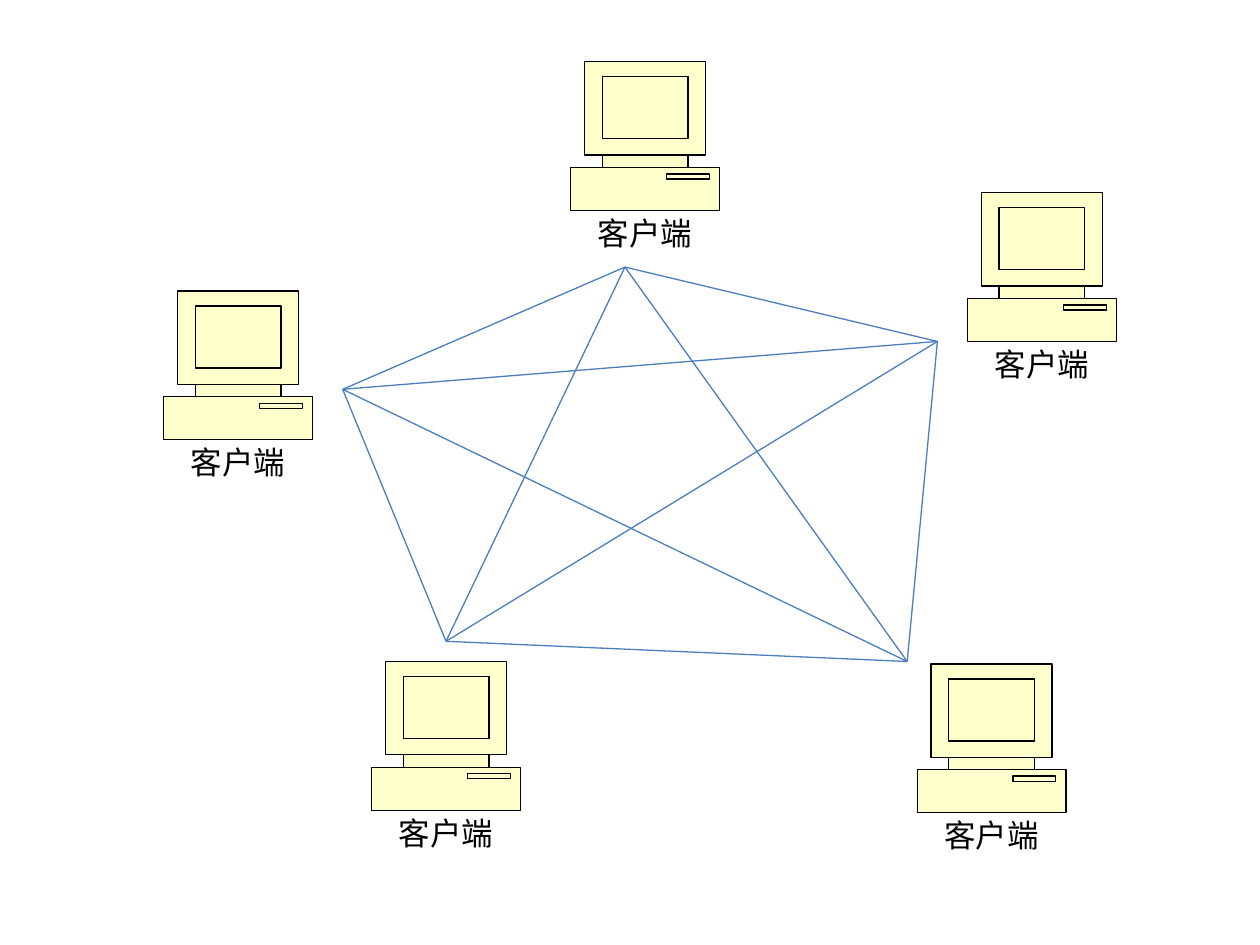
from copy import deepcopy
from dataclasses import dataclass
from itertools import combinations

from lxml.etree import SubElement
from pptx import Presentation
from pptx.dml.color import RGBColor
from pptx.enum.shapes import MSO_CONNECTOR
from pptx.enum.text import MSO_AUTO_SIZE, PP_ALIGN
from pptx.oxml.ns import qn
from pptx.util import Inches, Pt


@dataclass(frozen=True)
class Theme:
    """Colours, type and line sizes of the slide."""
    computer: RGBColor = RGBColor(0xFF, 0xFF, 0xCC)
    ink: RGBColor = RGBColor(0, 0, 0)
    link: RGBColor = RGBColor(0x4B, 0x7E, 0xBC)
    font: str = "Calibri"
    label_size: Pt = Pt(18)
    line_width: Pt = Pt(0.75)


THEME = Theme()
LABEL = "客户端"

# Each client: left and top of its computer, then the point where its links meet.
CLIENTS = [
    ((1.30, 2.31), (2.72, 3.09)),
    ((4.53, 0.49), (4.96, 2.12)),
    ((7.68, 1.53), (7.44, 2.71)),
    ((7.28, 5.27), (7.20, 5.25)),
    ((2.95, 5.25), (3.54, 5.09)),
]


def set_format(target, values):
    """Set every attribute named in a dict of format values."""
    for name, value in values.items():
        setattr(target, name, value)


def rectangle(left, top, right, bottom):
    """Return the corners of a rectangle."""
    return [(left, top), (right, top), (right, bottom), (left, bottom)]


SILHOUETTE = [
    (0.93, 0.84), (0.93, 0.74), (1.07, 0.74), (1.07, 0), (0.11, 0), (0.11, 0.74),
    (0.25, 0.74), (0.25, 0.84), (0, 0.84), (0, 1.18), (1.18, 1.18), (1.18, 0.84),
]
NECK = rectangle(0.25, 0.74, 0.93, 0.84)
SCREEN = rectangle(0.25, 0.12, 0.93, 0.61)
DRIVE = rectangle(0.76, 0.89, 1.10, 0.93)


def separate_outlines(shape):
    """Give each outline its own path, so that inner ones are filled too."""
    path = shape.element.xpath(".//a:path")[0]
    path_list = path.getparent()
    outlines = []
    for step in path:
        if step.tag == qn("a:moveTo"):
            outlines.append([])
        outlines[-1].append(step)
    for outline in outlines:
        part = SubElement(path_list, qn("a:path"), dict(path.attrib))
        part.extend([deepcopy(step) for step in outline])
    path_list.remove(path)


def add_computer(shapes, left, top):
    """Draw a desktop computer as one freeform."""
    builder = None
    for outline in (SILHOUETTE, NECK, SCREEN, DRIVE):
        points = [(Inches(x), Inches(y)) for x, y in outline]
        if builder is None:
            builder = shapes.build_freeform(*points[0])
        else:
            builder.move_to(*points[0])
        builder.add_line_segments(points[1:], close=True)
    computer = builder.convert_to_shape(Inches(left), Inches(top))
    separate_outlines(computer)
    computer.shadow.inherit = False
    computer.fill.solid()
    computer.fill.fore_color.rgb = THEME.computer
    computer.line.color.rgb = THEME.ink
    computer.line.width = THEME.line_width


def add_label(shapes, left, top):
    """Write the centred client label."""
    box = shapes.add_textbox(Inches(left), Inches(top), Inches(1.34), Inches(0.4))
    set_format(box.text_frame, {"word_wrap": True, "auto_size": MSO_AUTO_SIZE.SHAPE_TO_FIT_TEXT})
    para = box.text_frame.paragraphs[0]
    para.alignment = PP_ALIGN.CENTER
    span = para.add_run()
    span.text = LABEL
    set_format(span.font, {"name": THEME.font, "size": THEME.label_size})
    span.font.color.rgb = THEME.ink


def add_client(page, left, top):
    """Group a computer with its label."""
    group = page.shapes.add_group_shape()
    add_computer(group.shapes, left, top)
    add_label(group.shapes, left - 0.08, top + 1.16)


def add_link(page, start, end):
    """Join two points with a thin line."""
    ends = [Inches(value) for value in (*start, *end)]
    link = page.shapes.add_connector(MSO_CONNECTOR.STRAIGHT, *ends)
    link.line.color.rgb = THEME.link
    link.line.width = THEME.line_width
    SubElement(link.element.spPr, qn("a:effectLst"))


def main():
    """Build the network of clients, each linked to every other."""
    deck = Presentation()
    set_format(deck, {"slide_width": Inches(10), "slide_height": Inches(7.5)})
    page = deck.slides.add_slide(deck.slide_layouts[6])
    for corner, _ in CLIENTS:
        add_client(page, *corner)
    for start, end in combinations([meeting for _, meeting in CLIENTS], 2):
        add_link(page, start, end)
    deck.save("out.pptx")


main()
